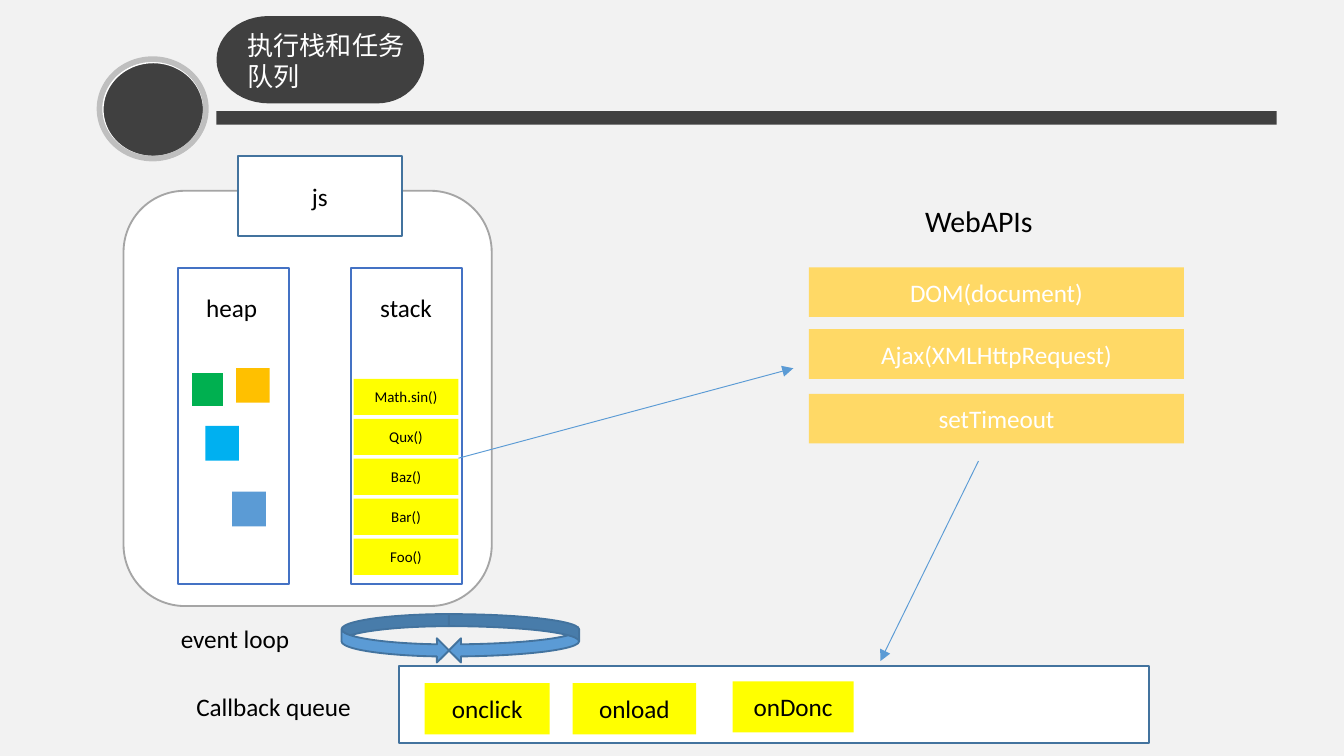
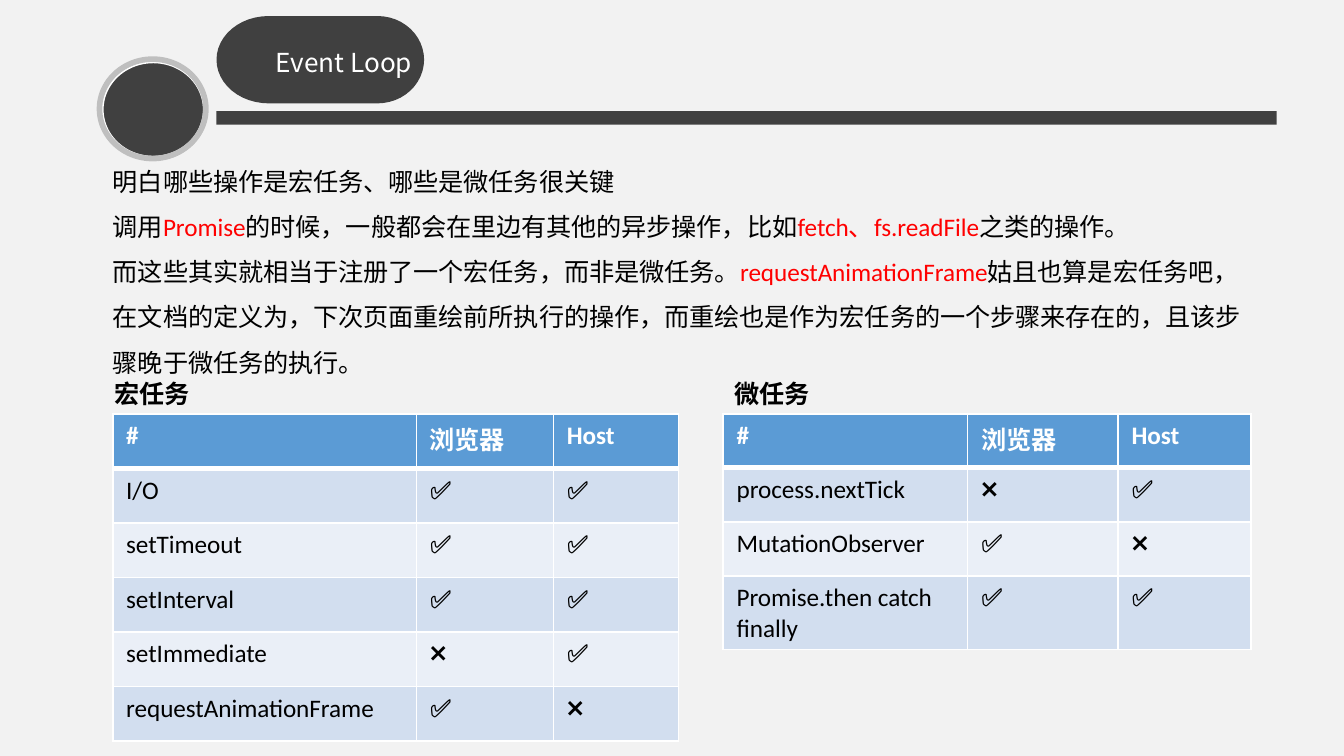
import math
from dataclasses import dataclass
from typing import Optional, Union

from lxml import etree
from pptx import Presentation
from pptx import util as u
from pptx.dml.color import RGBColor
from pptx.enum import shapes as es
from pptx.enum import text as et
from pptx.oxml.ns import qn
from pptx.slide import Slide

CJK, LATIN = "Noto Sans CJK JP", "Calibri"
BLACK, WHITE, DARK, SILVER, PAPER = "000000", "FFFFFF", "404040", "BFBFBF", "F2F2F2"
BLUE, EDGE, PANEL_EDGE, GRAY = "5B9BD5", "43739E", "4472C4", "A5A5A5"
YELLOW, GOLD, RED = "FFFF00", "FFD966", "FF0000"
BANDS = ("D2DEEF", "EAEFF7")
KIND = es.MSO_SHAPE
ALIGN, ANCHOR = et.PP_ALIGN, et.MSO_ANCHOR

Para = Union[str, list[tuple[str, str]]]


@dataclass
class Box:
    x: float
    y: float
    w: float
    h: float
    text: str = ""
    fill: Optional[str] = WHITE
    line: Optional[str] = None
    width: float = 1
    color: str = BLACK
    size: float = 13.5
    kind: KIND = KIND.RECTANGLE


@dataclass
class Arrow:
    x1: float
    y1: float
    x2: float
    y2: float


@dataclass
class TaskTable:
    name: str
    x: float
    name_x: float
    cols: tuple[float, ...]
    heights: list[float]
    rows: list[tuple[str, str, str]]


def rgb(value: str) -> RGBColor:
    return RGBColor.from_string(value)


def write(tf, *paras: Para, size: float = 13.5, font: str = LATIN, color: str = BLACK,
          bold: bool = False, align=ALIGN.LEFT, anchor=ANCHOR.MIDDLE,
          spacing: float = 1.0) -> None:
    """Fill a text frame; a paragraph is a string or a list of (text, colour) runs."""
    tf.word_wrap = True
    tf.vertical_anchor = anchor
    for i, para in enumerate(paras):
        p = tf.paragraphs[0] if i == 0 else tf.add_paragraph()
        p.alignment = align
        p.line_spacing = spacing
        p.space_before = u.Pt(0)
        for content, run_color in [(para, color)] if isinstance(para, str) else para:
            r = p.add_run()
            r.text = content
            r.font.size, r.font.bold, r.font.name = u.Pt(size), bold, font
            r.font.color.rgb = rgb(run_color)
            etree.SubElement(r.font._element, qn("a:ea"), typeface=CJK)


def place(sp, x: float, y: float, w: float, h: float) -> None:
    sp.left, sp.top, sp.width, sp.height = (u.Pt(v) for v in (x, y, w, h))


def paint(sp, fill: Optional[str], line: Optional[str] = None, width: float = 1) -> None:
    sp.shadow.inherit = False
    if fill:
        sp.fill.solid()
        sp.fill.fore_color.rgb = rgb(fill)
    else:
        sp.fill.background()
    if line:
        sp.line.color.rgb = rgb(line)
        sp.line.width = u.Pt(width)
    else:
        sp.line.fill.background()


def draw_box(container, b: Box) -> None:
    sp = container.shapes.add_shape(b.kind, *(u.Pt(v) for v in (b.x, b.y, b.w, b.h)))
    paint(sp, b.fill, b.line, b.width)
    if b.text:
        write(sp.text_frame, b.text, size=b.size, color=b.color, align=ALIGN.CENTER)


def draw_arrow(slide: Slide, a: Arrow) -> None:
    c = slide.shapes.add_connector(es.MSO_CONNECTOR.STRAIGHT,
                                   *(u.Pt(v) for v in (a.x1, a.y1, a.x2, a.y2)))
    c.line.color.rgb = rgb(BLUE)
    c.line.width = u.Pt(0.5)
    etree.SubElement(c.line._get_or_add_ln(), qn("a:tailEnd"), type="triangle")
    etree.SubElement(c._element.spPr, qn("a:effectLst"))


def draw_pill(slide: Slide) -> None:
    """Title tab: two half ellipses joined by straight edges."""
    cy, ry, steps = 32, 23.4, 24
    points = []
    for cx, rx, start in ((202.2, 25, -90), (144, 28, 90)):
        for i in range(steps + 1):
            angle = math.radians(start + 180 * i / steps)
            points.append((u.Pt(cx + rx * math.cos(angle)), u.Pt(cy + ry * math.sin(angle))))
    builder = slide.shapes.build_freeform(*points[0])
    builder.add_line_segments(points[1:], close=True)
    paint(builder.convert_to_shape(), DARK)


BADGE = [
    Box(53.3, 33, 57, 51, fill=DARK, kind=KIND.OVAL),
    Box(54, 32.4, 56.2, 52.6, fill=None, line=WHITE, width=3, kind=KIND.OVAL),
    Box(53.3, 31.7, 57, 53.3, fill=None, line=SILVER, width=3, kind=KIND.OVAL),
]
TITLE_BAR = Box(116, 59.6, 568, 7.2, fill=DARK)


def new_slide(prs, layout: int, title: str, at: tuple[float, float, float, float]) -> Slide:
    """Add a slide with the badge, bar, tab and title."""
    slide = prs.slides.add_slide(prs.slide_layouts[layout])
    badge = slide.shapes.add_group_shape()
    for ring in BADGE:
        draw_box(badge, ring)
    draw_box(slide, TITLE_BAR)
    draw_pill(slide)
    sp = slide.shapes.title
    place(sp, *at)
    sp.text_frame.auto_size = et.MSO_AUTO_SIZE.NONE
    write(sp.text_frame, title, size=14, font=CJK, color=WHITE, anchor=ANCHOR.TOP)
    slide.shapes._spTree.append(sp._element)
    return slide


ENGINE = [
    Box(66.2, 102.2, 197.3, 222.5, line=GRAY, kind=KIND.ROUNDED_RECTANGLE),
    Box(127.4, 83.5, 87.8, 43.2, "js", line=EDGE),
    Box(95.5, 143.5, 59.3, 169.3, line=PANEL_EDGE),
    Box(188, 143.5, 59.6, 169.3, line=PANEL_EDGE),
    Box(100, 151.2, 48.2, 27.4, "heap"),
    Box(189.4, 151.2, 56.2, 27.4, "stack", line=WHITE),
]
HEAP_OBJECTS = [Box(x, y, 18, 18.6, fill=fill, line=line) for x, y, fill, line in (
    (110, 228.2, "00B0F0", None),
    (124.4, 263.4, BLUE, None),
    (126.5, 197.2, "FFC000", None),
    (102.2, 199.6, "00B050", WHITE),
)]
STACK_FRAMES = [
    Box(189.4, 203 + 21.4 * i, 56.2, 19.4, call, YELLOW, size=8)
    for i, call in enumerate(("Math.sin()", "Qux()", "Baz()", "Bar()", "Foo()"))
]
WEB_APIS = [Box(465, 105, 118.8, 26.6, "WebAPIs", PAPER, PAPER, size=16)] + [
    Box(433.4, y, 200.9, 26.6, name, GOLD, color=WHITE) for y, name in (
        (143.3, "DOM(document)"), (176.4, "Ajax(XMLHttpRequest)"), (211, "setTimeout"))
]
CALLBACK_QUEUE = [Box(213.8, 357, 401.8, 41, line=EDGE)] + [
    Box(x, y, w, 27.4, name, YELLOW) for x, y, w, name in (
        (227.5, 366, 67, "onclick"), (306.7, 366, 66.2, "onload"), (392.5, 365, 64.8, "onDonc"))
] + [Box(81, 365.4, 131, 26.6, "Callback queue", PAPER)]
EVENT_LOOP = [
    Box(183, 329, 57.6, 26, fill=BLUE, line=EDGE, kind=KIND.CURVED_RIGHT_ARROW),
    Box(240.5, 329, 69.8, 26, fill=BLUE, line=EDGE, kind=KIND.CURVED_LEFT_ARROW),
    Box(76.6, 328.6, 98.6, 26.6, "event loop", PAPER),
]
ARROWS = [Arrow(245.6, 245.5, 425, 197.3), Arrow(524.2, 247, 471.6, 354.2)]


def build_stack_slide(prs) -> None:
    slide = new_slide(prs, 5, "执行栈和任务队列", (125.3, 12.2, 111.6, 41))
    for group in (ENGINE, HEAP_OBJECTS, STACK_FRAMES, WEB_APIS, CALLBACK_QUEUE, EVENT_LOOP):
        for box in group:
            draw_box(slide, box)
    for arrow in ARROWS:
        draw_arrow(slide, arrow)


YES, NO = "✅", "❌"
HEADER = ("#", "浏览器", "Host")
TASK_TABLES = [
    TaskTable("宏任务", 60.4, 54, (162.7, 73.4, 67), [29.2] * 6, [
        ("I/O", YES, YES),
        ("setTimeout", YES, YES),
        ("setInterval", YES, YES),
        ("setImmediate", NO, YES),
        ("requestAnimationFrame", YES, NO),
    ]),
    TaskTable("微任务", 387.4, 386.6, (131, 80.6, 71.3), [28.9] * 3 + [39.6], [
        ("process.nextTick", NO, YES),
        ("MutationObserver", YES, NO),
        ("Promise.then catch finally", YES, YES),
    ]),
]
NOTES: list[Para] = [
    "明白哪些操作是宏任务、哪些是微任务很关键",
    [("调用", BLACK), ("Promise", RED),
     ("的时候，一般都会在里边有其他的异步操作，比如", BLACK),
     ("fetch、fs.readFile", RED), ("之类的操作。", BLACK)],
    [("而这些其实就相当于注册了一个宏任务，而非是微任务。", BLACK),
     ("requestAnimationFrame", RED),
     ("姑且也算是宏任务吧，在文档的定义为，下次页面重绘前所执行的操作，"
      "而重绘也是作为宏任务的一个步骤来存在的，且该步骤晚于微任务的执行。", BLACK)],
]


def add_borders(cell, bottom: float) -> None:
    """White cell borders, 1 pt except at the bottom."""
    tc_pr = cell._tc.get_or_add_tcPr()
    for side, width in (("L", 1), ("R", 1), ("T", 1), ("B", bottom)):
        ln = etree.SubElement(tc_pr, qn(f"a:ln{side}"), w=str(u.Pt(width)))
        fill = etree.SubElement(ln, qn("a:solidFill"))
        etree.SubElement(fill, qn("a:srgbClr"), val=WHITE)


def draw_task_table(slide: Slide, t: TaskTable) -> None:
    name = slide.shapes.add_textbox(*(u.Pt(v) for v in (t.name_x, 199.4, 80.6, 22.3)))
    write(name.text_frame, t.name, bold=True)
    rows = [HEADER, *t.rows]
    frame = slide.shapes.add_table(len(rows), len(t.cols), u.Pt(t.x), u.Pt(221.8),
                                   u.Pt(sum(t.cols)), u.Pt(sum(t.heights)))
    table = frame.table
    for column, width in zip(table.columns, t.cols):
        column.width = u.Pt(width)
    for i, (row, height) in enumerate(zip(rows, t.heights)):
        table.rows[i].height = u.Pt(height)
        is_header = i == 0
        for j, content in enumerate(row):
            cell = table.cell(i, j)
            add_borders(cell, 3 if is_header else 1)
            cell.fill.solid()
            cell.fill.fore_color.rgb = rgb(BLUE if is_header else BANDS[(i - 1) % 2])
            write(cell.text_frame, content, bold=is_header,
                  color=WHITE if is_header else BLACK, anchor=ANCHOR.TOP)


def build_event_loop_slide(prs) -> None:
    slide = new_slide(prs, 1, "Event Loop", (140.4, 21.2, 100, 24.5))
    for t in TASK_TABLES:
        draw_task_table(slide, t)
    body = slide.placeholders[1]
    place(body, 53.3, 87.8, 630.7, 107.3)
    body.text_frame.auto_size = et.MSO_AUTO_SIZE.NONE
    write(body.text_frame, *NOTES, spacing=1.5)
    for p in body.text_frame.paragraphs:
        p_pr = p._p.get_or_add_pPr()
        p_pr.set("marL", "0")
        p_pr.set("indent", "0")
        etree.SubElement(p_pr, qn("a:buNone"))


def main() -> None:
    prs = Presentation()
    prs.slide_width, prs.slide_height = u.Pt(720), u.Pt(405)
    background = prs.slide_master.background.fill
    background.solid()
    background.fore_color.rgb = rgb(PAPER)
    build_stack_slide(prs)
    build_event_loop_slide(prs)
    prs.save("out.pptx")


if __name__ == "__main__":
    main()
